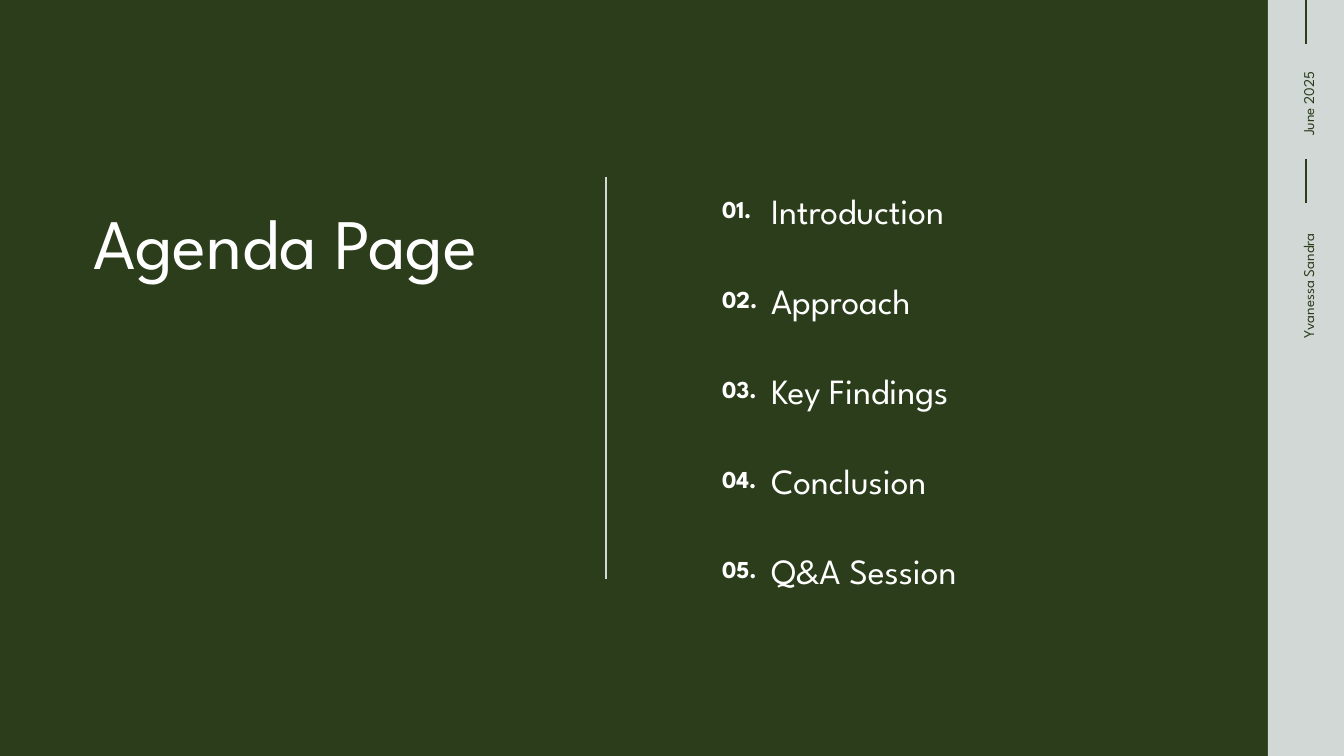
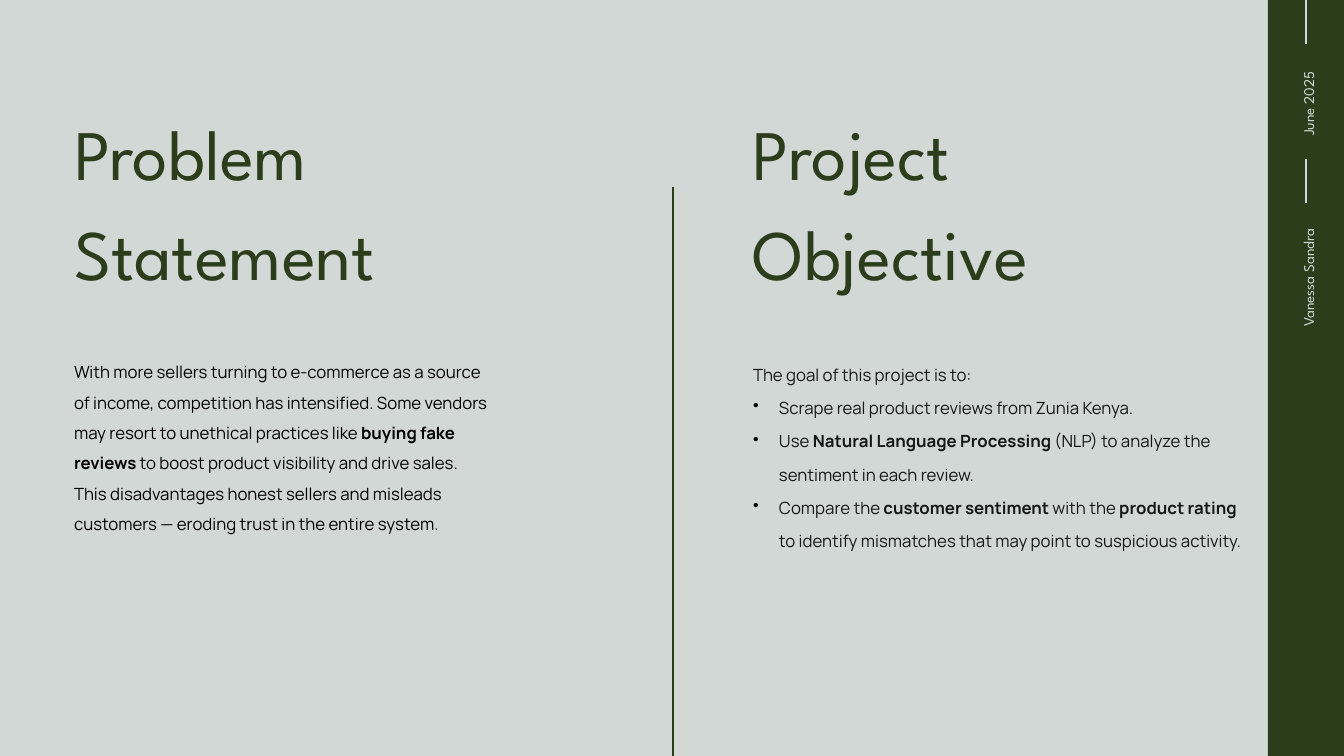
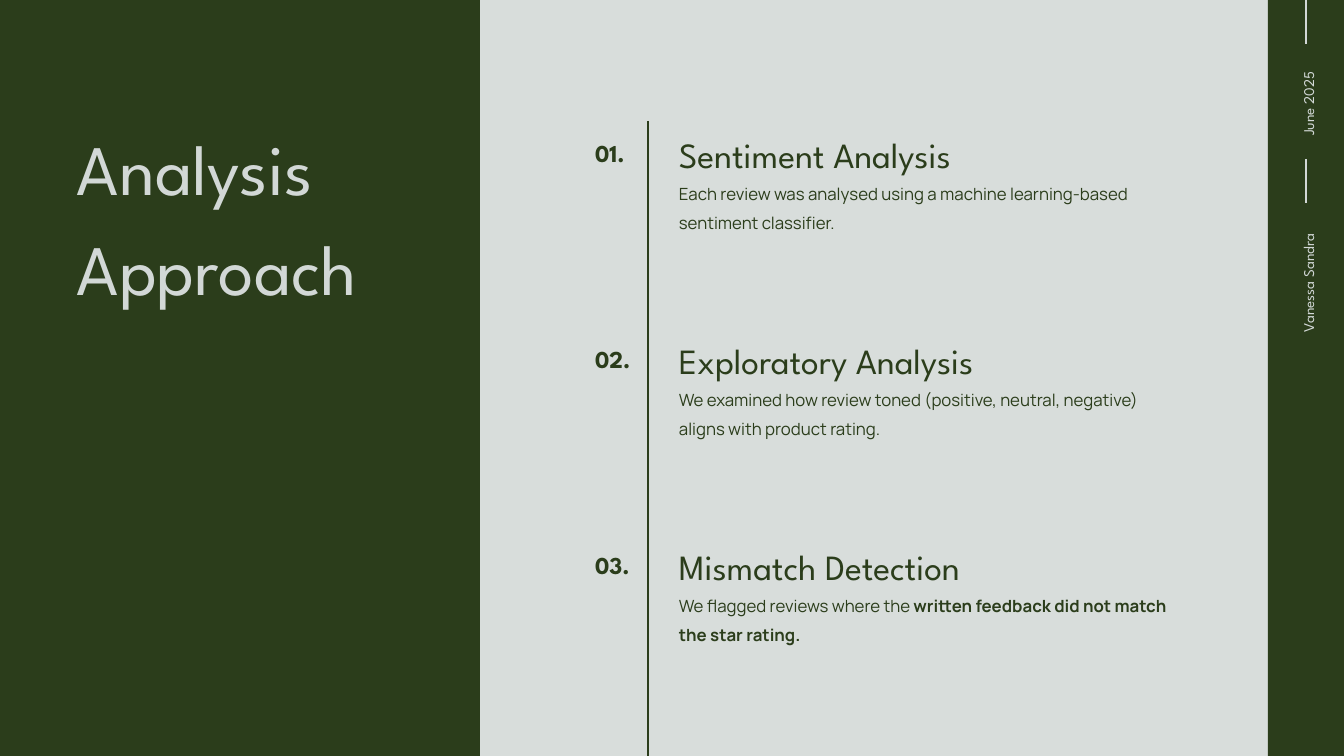
from dataclasses import dataclass

from lxml import etree
from pptx import Presentation
from pptx import util as u
from pptx.dml.color import RGBColor
from pptx.enum import shapes, text
from pptx.oxml.ns import qn

PX = 9144000 / 1344
WIDTH, HEIGHT = 1344, 756


@dataclass(frozen=True)
class Theme:
    green: str = "2B3D1B"
    sage: str = "D2D8D6"
    mist: str = "D8DDDB"
    white: str = "FFFFFF"
    black: str = "000000"
    charcoal: str = "141716"
    display: str = "League Spartan"
    body: str = "Manrope"
    title_size: int = 38
    heading_size: int = 19
    number_size: int = 13
    body_size: int = 9
    label_size: int = 8


theme = Theme()


def px(*lengths):
    """Turn pixels into EMU."""
    return [u.Emu(round(length * PX)) for length in lengths]


def write(box, paragraphs, size, color, face=theme.display, bold=False, spacing=1.4, bullets_from=None):
    """Fill a box with paragraphs; words between ** are bold."""
    frame = box.text_frame
    frame.word_wrap = True
    frame.auto_size = text.MSO_AUTO_SIZE.SHAPE_TO_FIT_TEXT
    frame.vertical_anchor = text.MSO_ANCHOR.TOP
    frame.margin_left = frame.margin_top = frame.margin_right = frame.margin_bottom = 0
    for index, line in enumerate(paragraphs):
        para = frame.add_paragraph() if index else frame.paragraphs[0]
        para.alignment = text.PP_ALIGN.LEFT
        para.line_spacing = spacing
        if bullets_from is not None and index >= bullets_from:
            properties = para._p.get_or_add_pPr()
            indent = px(26)[0]
            properties.set("marL", str(indent))
            properties.set("indent", str(-indent))
            bullet_color = etree.SubElement(properties, qn("a:buClr"))
            etree.SubElement(bullet_color, qn("a:srgbClr"), val=theme.black)
            etree.SubElement(properties, qn("a:buChar"), char="•")
        for part, words in enumerate(line.split("**")):
            if not words:
                continue
            span = para.add_run()
            span.text = words
            span.font.name = face
            span.font.size = u.Pt(size)
            span.font.bold = bold or part % 2 == 1
            span.font.color.rgb = RGBColor.from_string(color)


deck = Presentation()
deck.slide_width, deck.slide_height = px(WIDTH, HEIGHT)

# Shared frame: background, side band, rules, rotated labels and title
BAND_LEFT, BAND_CENTER = 1268, 1306
LABEL_CENTER, LABEL_HEIGHT = 1305, 26
layouts = [
    dict(background=theme.green, band=theme.sage, ink=theme.green, panels=[],
         divider=(606, 177, 579, theme.sage), author=("Yvanessa Sandra", 118, 338),
         title="Agenda Page", title_at=(93, 165, 444, 95), title_color=theme.white, spacing=1.4),
    dict(background=theme.sage, band=theme.green, ink=theme.sage, panels=[],
         divider=(673, 187, HEIGHT, theme.green), author=("Vanessa Sandra", 108, 327),
         title="Problem Statement", title_at=(74, 94, 339, 203), title_color=theme.green, spacing=1.18),
    dict(background=theme.mist, band=theme.green, ink=theme.sage, panels=[(0, 480)],
         divider=(648, 121, HEIGHT, theme.green), author=("Vanessa Sandra", 113, 332),
         title="Analysis Approach", title_at=(77, 109, 517, 203), title_color=theme.sage, spacing=1.18),
]

for look in layouts:
    page = deck.slides.add_slide(deck.slide_layouts[5])
    page.background.fill.solid()
    page.background.fill.fore_color.rgb = RGBColor.from_string(look["background"])

    for left, width in [(BAND_LEFT, WIDTH - BAND_LEFT)] + look["panels"]:
        panel = page.shapes.add_shape(shapes.MSO_SHAPE.RECTANGLE, *px(left, 0, width, HEIGHT))
        panel.shadow.inherit = False
        panel.fill.solid()
        panel.fill.fore_color.rgb = RGBColor.from_string(look["band"])
        panel.line.fill.background()

    ticks = [(BAND_CENTER, top, top + 44, look["ink"]) for top in (0, 159)]
    for x, top, bottom, color in ticks + [look["divider"]]:
        rule = page.shapes.add_connector(shapes.MSO_CONNECTOR.STRAIGHT, *px(x, top, x, bottom))
        rule.line.width = u.Pt(1.5)
        rule.line.color.rgb = RGBColor.from_string(color)
        etree.SubElement(rule._element.spPr, qn("a:effectLst"))

    for words, length, bottom in [look["author"], ("June 2025", 81, 136)]:
        label = page.shapes.add_textbox(*px(
            LABEL_CENTER - length / 2, bottom - length / 2 - LABEL_HEIGHT / 2, length, LABEL_HEIGHT))
        label.rotation = 270
        write(label, [words], theme.label_size, look["ink"])

    title = page.shapes.title
    title.left, title.top, title.width, title.height = px(*look["title_at"])
    write(title, [look["title"]], theme.title_size, look["title_color"], spacing=look["spacing"])
    page.shapes._spTree.append(title._element)  # keeps the title above the panels

agenda, problem, approach = deck.slides

# Agenda
topics = ["Introduction", "Approach", "Key Findings", "Conclusion", "Q&A Session"]
for index, topic in enumerate(topics):
    top = 172 + 90 * index
    number = agenda.shapes.add_textbox(*px(722, top + 11, 48, 34))
    write(number, [f"{index + 1:02}."], theme.number_size, theme.white, bold=True)
    heading = agenda.shapes.add_textbox(*px(771, top, 444, 60))
    write(heading, [topic], theme.heading_size, theme.white)

# Problem statement and project objective
statement = problem.shapes.add_textbox(*px(74, 352, 417, 214))
write(statement, [
    "With more sellers turning to e-commerce as a source of income, competition has intensified. "
    "Some vendors may resort to unethical practices like **buying fake reviews** "
    "to boost product visibility and drive sales.",
    "This disadvantages honest sellers and misleads customers — eroding trust in the entire system.",
], theme.body_size, theme.black, theme.body, spacing=1.5)

objective = problem.shapes.add_textbox(*px(753, 94, 360, 203))
write(objective, ["Project Objective"], theme.title_size, theme.green, spacing=1.18)

goals = problem.shapes.add_textbox(*px(753, 352, 491, 234))
write(goals, [
    "The goal of this project is to:",
    "Scrape real product reviews from Zunia Kenya.",
    "Use **Natural Language Processing **(NLP) to analyze the sentiment in each review.",
    "Compare the **customer sentiment **with the **product rating** "
    "to identify mismatches that may point to suspicious activity.",
], theme.body_size, theme.charcoal, theme.body, spacing=1.64, bullets_from=1)

# Analysis approach
steps = [
    ("Sentiment Analysis",
     "Each review was analysed using a machine learning-based sentiment classifier."),
    ("Exploratory Analysis",
     "We examined how review toned (positive, neutral, negative) aligns with product rating."),
    ("Mismatch Detection",
     "We flagged reviews where the **written feedback did not match the star rating.**"),
]
for index, (name, detail) in enumerate(steps):
    top = 116 + 206 * index
    number = approach.shapes.add_textbox(*px(595, top + 11, 48, 34))
    write(number, [f"{index + 1:02}."], theme.number_size, theme.green, bold=True)
    heading = approach.shapes.add_textbox(*px(679, top, 323, 60))
    write(heading, [name], theme.heading_size, theme.green)
    description = approach.shapes.add_textbox(*px(679, top + 60, 492, 56))
    write(description, [detail], theme.body_size, theme.green, theme.body)

deck.save("out.pptx")
